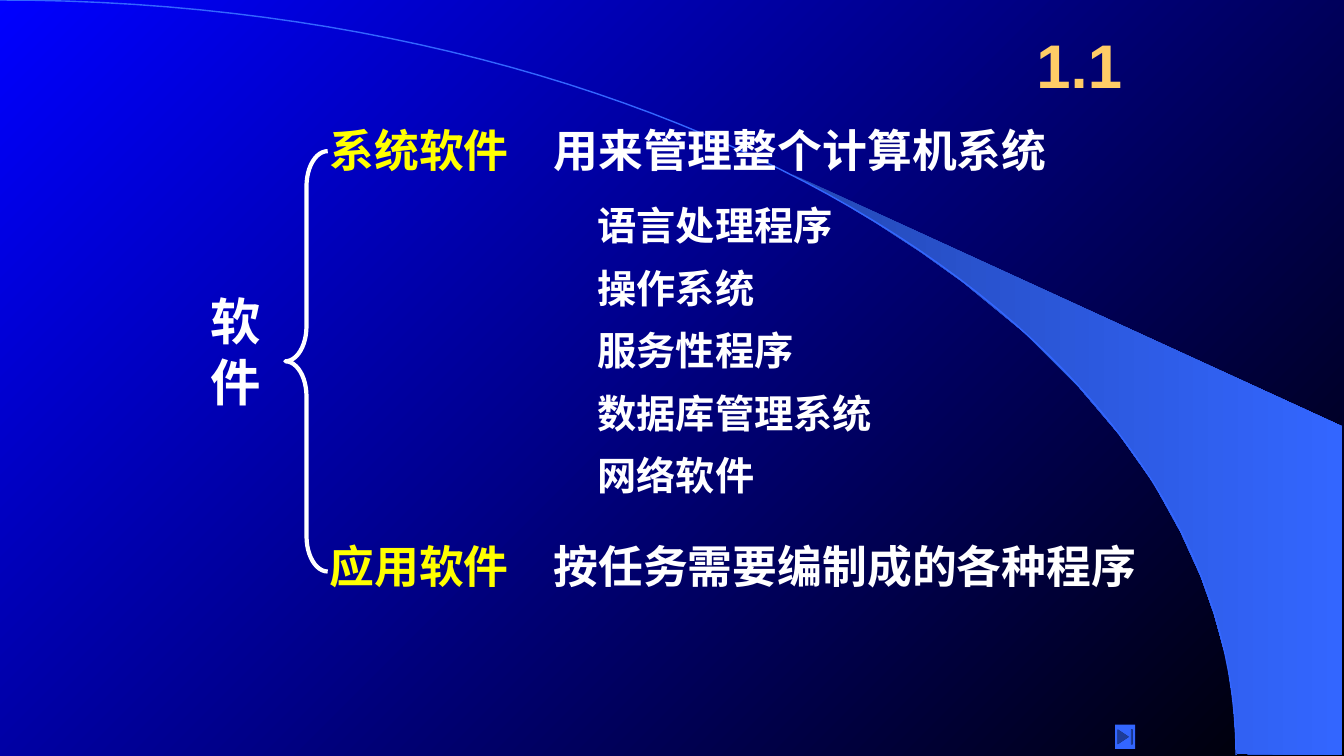
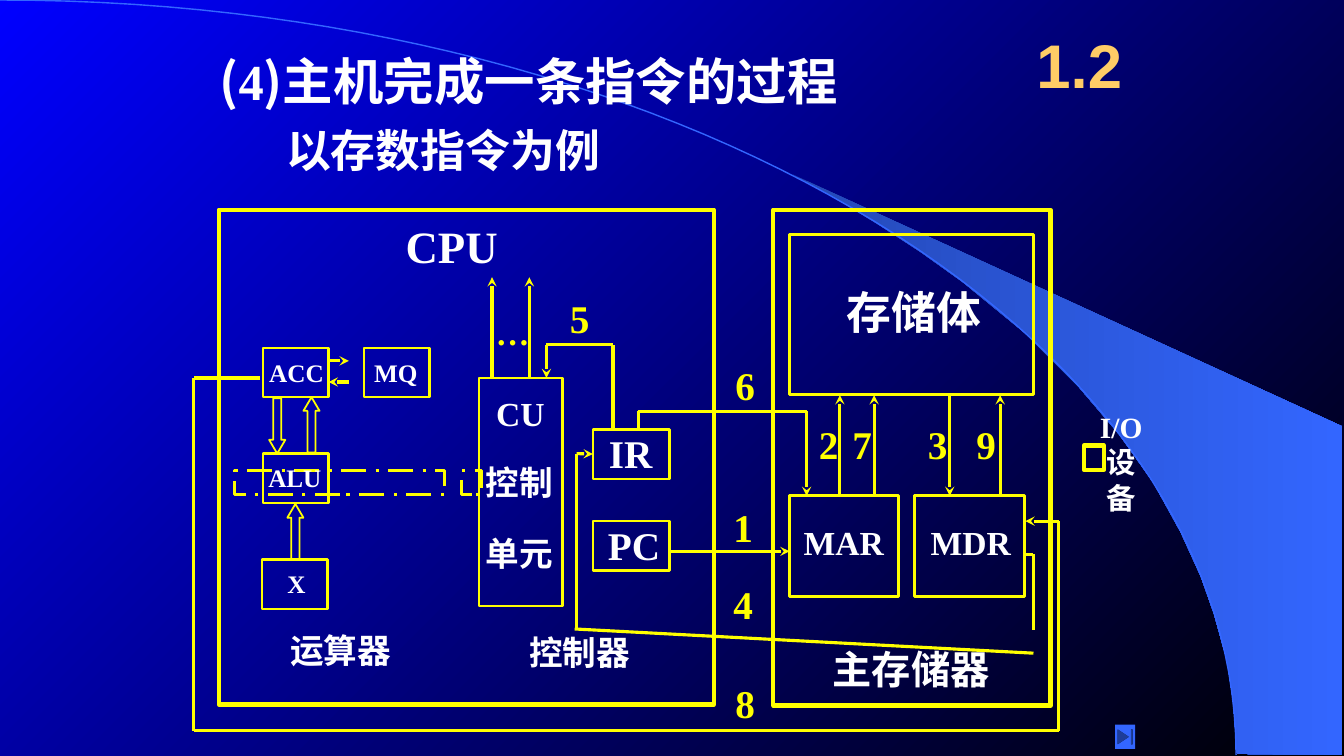
from itertools import pairwise

from lxml import etree
from pptx import Presentation
from pptx.dml.color import RGBColor
from pptx.enum.dml import MSO_LINE
from pptx.enum.shapes import MSO_CONNECTOR, MSO_SHAPE
from pptx.enum.text import MSO_ANCHOR, PP_ALIGN
from pptx.oxml.ns import qn
from pptx.util import Pt

PX = 9144  # 100 px to the inch
WHITE = RGBColor(0xFF, 0xFF, 0xFF)
BLACK = RGBColor(0, 0, 0)
YELLOW = RGBColor(0xFF, 0xFF, 0)
GOLD = RGBColor(0xFF, 0xCC, 0x66)
BLUE = RGBColor(0, 0, 0xFF)
ROYAL = RGBColor(0x33, 0x66, 0xFF)
DEEP = RGBColor(0x24, 0x49, 0xB6)
SERIF, CJK, SANS = "Times New Roman", "Noto Sans CJK SC", "Arial"
FIRST_HANZI = "一"

RECT, BRACE = MSO_SHAPE.RECTANGLE, MSO_SHAPE.LEFT_BRACE
UP, DOWN = MSO_SHAPE.UP_ARROW, MSO_SHAPE.DOWN_ARROW
END_BUTTON = MSO_SHAPE.ACTION_BUTTON_END
STRAIGHT = MSO_CONNECTOR.STRAIGHT
CENTER, MIDDLE = PP_ALIGN.CENTER, MSO_ANCHOR.MIDDLE
DASH = MSO_LINE.LONG_DASH_DOT

PADDED, FLUSH_LEFT, FLUSH = (10, 5, 10, 5), (0, 5, 10, 5), (0, 0, 0, 0)

# Shared decoration
WEDGE = [(1227, 748), (1331, 749), (1331, 423), (786, 173), (832, 199), (870, 222),
         (913, 250), (955, 280), (1016, 330), (1070, 384), (1110, 431), (1144, 479),
         (1171, 528), (1191, 572), (1204, 609), (1217, 656), (1223, 696)]
ARC = [(0, 0), (677, 0), (1226, 335), (1226, 749)]  # Bezier control points
ARC_STEPS = 60

# Slide 1: top, name, description
KINDS = [(117, "系统软件", "用来管理整个计算机系统"),
         (530, "应用软件", "按任务需要编制成的各种程序")]
SYSTEM_SOFTWARE = ["语言处理程序", "操作系统", "服务性程序", "数据库管理系统", "网络软件"]
ITEM_TOP, ITEM_STEP = 195, 62

# Slide 2
HEADING = [("(", CJK), ("4", SERIF), (")主机完成一条指令的过程", CJK)]
# name: box, line width
BOXES = {
    "cpu": ((217, 208, 491, 491), 3),
    "main memory": ((767, 208, 275, 492), 3),
    "store": ((783, 233, 242, 158), 2.25),
    "MAR": ((783, 492, 108, 100), 2.25),
    "MDR": ((907, 492, 109, 100), 2.25),
    "CU": ((475, 375, 83, 226), 1.63),
    "IR": ((588, 426, 76, 49), 1.63),
    "PC": ((588, 517, 76, 49), 1.63),
    "ACC": ((261, 345, 65, 49), 1.63),
    "MQ": ((361, 345, 65, 49), 1.63),
    "ALU": ((261, 450, 65, 49), 1.63),
    "X": ((260, 555, 65, 49), 1.63),
    "I/O": ((1075, 442, 20, 24), 3),
}
DASHED_BOXES = [(233, 467, 208, 24), (458, 467, 20, 24)]
# text, box, size, font
LABELS = [
    ("CU", (492, 390, 99, 40), 24, SERIF),
    ("控制", (482, 458, 103, 40), 24, CJK),
    ("单元", (482, 529, 90, 40), 24, CJK),
    ("主存储器", (826, 640, 185, 47), 28, CJK),
    ("MDR", (923, 518, 100, 40), 24, SERIF),
    ("MAR", (797, 518, 109, 40), 24, SERIF),
    ("PC", (603, 517, 114, 47), 28, SERIF),
    ("IR", (604, 426, 104, 47), 28, SERIF),
    ("控制器", (525, 627, 142, 40), 24, CJK),
    ("运算器", (288, 625, 136, 40), 24, CJK),
    ("MQ", (371, 354, 72, 30), 18, SERIF),
    ("ACC", (267, 354, 93, 30), 18, SERIF),
    ("X", (285, 564, 47, 30), 18, SERIF),
]
CENTERED_LABELS = [
    ("存储体", (829, 278, 155, 64), 32, CJK),
    ("CPU", (402, 217, 92, 54), 32, SERIF),
    ("ALU", (266, 459, 53, 30), 18, SERIF),
    ("I/O\n设\n备", (1082, 406, 60, 119), 21, SERIF),
]
STEPS = {"1": (717, 494), "2": (802, 412), "3": (910, 412), "4": (717, 571),
         "5": (555, 287), "6": (719, 354), "7": (835, 412), "8": (719, 669),
         "9": (958, 412)}
ARROW_WIRES = [
    [(665, 547), (783, 547)],
    [(833, 492), (833, 392)],
    [(867, 492), (867, 392)],
    [(942, 392), (942, 492)],
    [(992, 492), (992, 392)],
    [(608, 425), (608, 342), (542, 342), (542, 375)],
    [(633, 425), (633, 408), (800, 408), (800, 492)],
    [(258, 375), (192, 375), (192, 725), (1050, 725), (1050, 517), (1017, 517)],
    [(488, 375), (488, 275)],
    [(525, 375), (525, 275)],
    [(326, 358), (346, 358)],
    [(346, 379), (326, 379)],
]
PLAIN_WIRES = [
    [(1017, 550), (1025, 550), (1025, 625)],
    [(1025, 648), (570, 624)],
]
IR_WIRE = [(572, 625), (572, 450), (589, 450)]
BLOCK_ARROWS = [(UP, 301, 394), (UP, 285, 500), (DOWN, 267, 395)]


def emu(*lengths):
    return [round(v * PX) for v in lengths]


def style(r, size, font, color):
    r.font.size, r.font.bold, r.font.name = Pt(size), True, font
    r.font.color.rgb = color
    etree.SubElement(r.font._element, qn("a:ea")).set("typeface", CJK)


def text(s, content, box, size, font=SERIF, color=WHITE, inset=PADDED, centered=False):
    """Add a text box; content is a string or a list of (text, font) runs."""
    tf = s.shapes.add_textbox(*emu(*box)).text_frame
    tf.margin_left, tf.margin_top, tf.margin_right, tf.margin_bottom = emu(*inset)
    tf.word_wrap = not centered
    if isinstance(content, str):
        tf.text = content
        fonts = [font] * len(tf.paragraphs)
    else:
        for part, _ in content:
            tf.paragraphs[0].add_run().text = part
        fonts = [f for _, f in content]
    for p in tf.paragraphs:
        # Chinese lines are already taller than Latin ones
        p.space_before = Pt(0 if max(p.text) >= FIRST_HANZI else size // 6)
        if centered:
            p.alignment = CENTER
    for r, f in zip((r for p in tf.paragraphs for r in p.runs), fonts):
        style(r, size, f, color)


def outline(s, kind, box, width, color=YELLOW):
    sp = s.shapes.add_shape(kind, *emu(*box))
    sp.shadow.inherit = False
    sp.fill.background()
    sp.line.color.rgb, sp.line.width = color, Pt(width)
    return sp


def wire(s, points, arrow=False):
    """Draw straight segments through the points; return the last one."""
    for start, end in pairwise(points):
        c = s.shapes.add_connector(STRAIGHT, *emu(*start, *end))
        c.line.color.rgb, c.line.width = YELLOW, Pt(2.25)
        spPr = c._element.spPr
        etree.SubElement(spPr, qn("a:effectLst"))
    if arrow:
        etree.SubElement(spPr.find(qn("a:ln")), qn("a:tailEnd")).set("type", "stealth")
    return c


def freeform(s, points, close):
    (x, y), *rest = [emu(*pt) for pt in points]
    fb = s.shapes.build_freeform(x, y)
    fb.add_line_segments(rest, close=close)
    sp = fb.convert_to_shape()
    sp.shadow.inherit = False
    return sp


def gradient(fill, first, last, angle):
    fill.gradient()
    fill.gradient_angle = angle
    for stop, color in zip(fill.gradient_stops, (first, last)):
        stop.color.rgb = color


def bezier(t):
    weights = ((1 - t) ** 3, 3 * t * (1 - t) ** 2, 3 * t * t * (1 - t), t ** 3)
    return tuple(sum(w * pt[i] for w, pt in zip(weights, ARC)) for i in (0, 1))


def new_slide(prs, number):
    """Add a slide with the shared background, section number and button."""
    s = prs.slides.add_slide(prs.slide_layouts[5])
    gradient(s.background.fill, BLUE, BLACK, 315)
    wedge = freeform(s, WEDGE, True)
    gradient(wedge.fill, DEEP, ROYAL, 0)
    wedge.line.fill.background()
    arc = freeform(s, [bezier(i / ARC_STEPS) for i in range(ARC_STEPS + 1)], False)
    arc.fill.background()
    arc.line.color.rgb, arc.line.width = ROYAL, Pt(1)

    title = s.shapes.title
    title.left, title.top, title.width, title.height = emu(1008, 17, 125, 92)
    tf = title.text_frame
    tf.text = number
    tf.vertical_anchor = MIDDLE
    tf.paragraphs[0].alignment = CENTER
    style(tf.paragraphs[0].runs[0], 44, SANS, GOLD)

    button = s.shapes.add_shape(END_BUTTON, *emu(1106, 719, 20, 24))
    button.shadow.inherit = False
    button.fill.solid()
    button.fill.fore_color.rgb = ROYAL
    button.line.fill.background()
    return s


def software_slide(prs):
    s = new_slide(prs, "1.1")
    text(s, "软\n件", (199, 283, 70, 142), 36, centered=True)
    brace = outline(s, BRACE, (283, 150, 42, 417), 3, WHITE)
    brace.adjustments[0] = 0.83
    for top, name, description in KINDS:
        text(s, name, (317, top, 250, 63), 32, color=YELLOW)
        text(s, description, (549, top, 701, 63), 32, inset=FLUSH_LEFT)
    for i, item in enumerate(SYSTEM_SOFTWARE):
        text(s, item, (583, ITEM_TOP + i * ITEM_STEP, 350, 57), 28)


def instruction_slide(prs):
    s = new_slide(prs, "1.2")
    text(s, HEADING, (208, 45, 725, 70), 36, CJK)
    text(s, "以存数指令为例", (274, 117, 526, 63), 32, CJK)
    boxes = {name: outline(s, RECT, box, width) for name, (box, width) in BOXES.items()}
    for box in DASHED_BOXES:
        outline(s, RECT, box, 2.25).line.dash_style = DASH
    for kind, x, y in BLOCK_ARROWS:
        arrow = outline(s, kind, (x, y, 16, 55), 1.25)
        arrow.adjustments[0], arrow.adjustments[1] = 0.5, 0.85
    for points in ARROW_WIRES:
        wire(s, points, arrow=True)
    for points in PLAIN_WIRES:
        wire(s, points)
    wire(s, IR_WIRE, arrow=True).end_connect(boxes["IR"], 1)
    for label, box, size, font in LABELS:
        text(s, label, box, size, font, inset=FLUSH)
    for label, box, size, font in CENTERED_LABELS:
        text(s, label, box, size, font, inset=FLUSH if font == SERIF else PADDED,
             centered=True)
    for number, (x, y) in STEPS.items():
        text(s, number, (x, y, 40, 57), 28, color=YELLOW, centered=True)
    text(s, "…", (482, 305, 53, 50), 24, color=YELLOW, centered=True)


def main():
    prs = Presentation()
    prs.slide_width, prs.slide_height = emu(1333, 750)
    software_slide(prs)
    instruction_slide(prs)
    prs.save("out.pptx")


if __name__ == "__main__":
    main()
